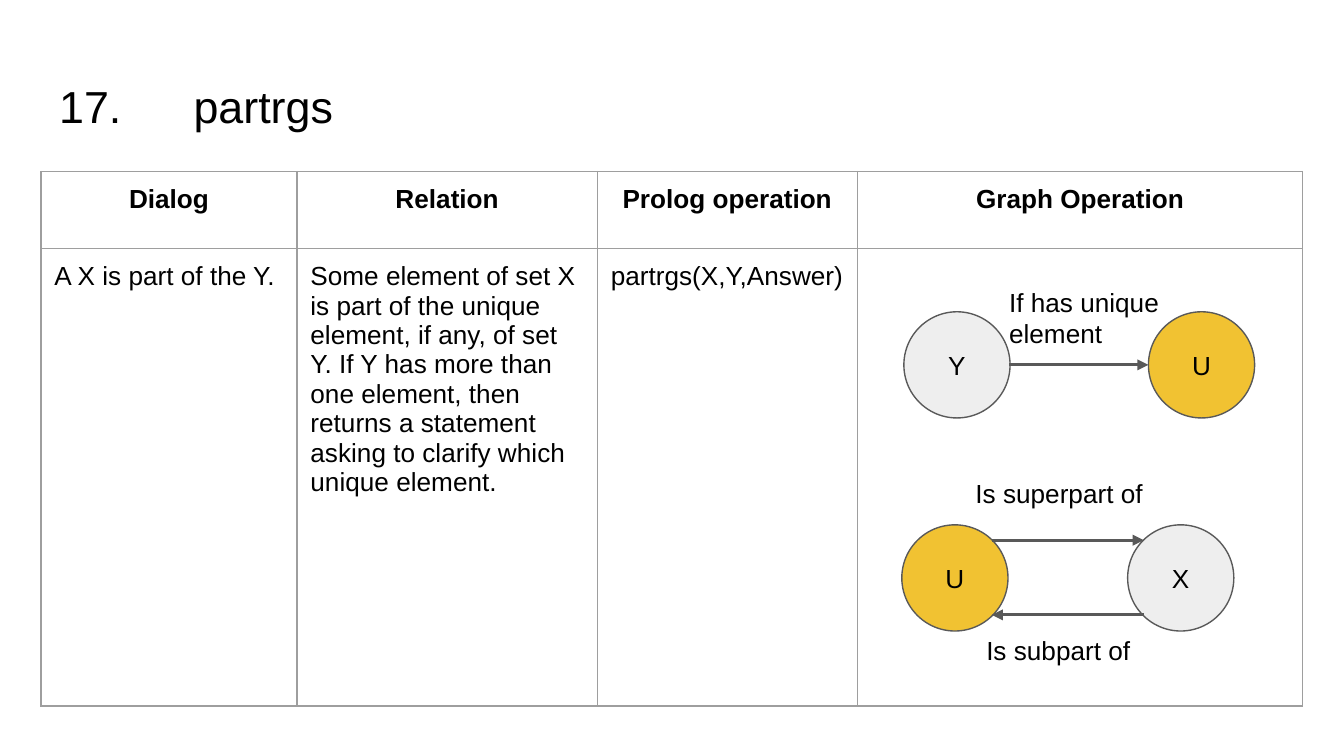
from lxml import etree
from pptx import Presentation
from pptx import util as u
from pptx.dml.color import RGBColor
from pptx.enum import shapes, text
from pptx.oxml import ns

PX = 4572
BLACK = RGBColor(0x00, 0x00, 0x00)
GOLD = RGBColor(0xF1, 0xC2, 0x32)
PALE = RGBColor(0xEE, 0xEE, 0xEE)
DARK = RGBColor(0x59, 0x59, 0x59)
BORDER = RGBColor(0x9E, 0x9E, 0x9E)
INSET = 20
NODE = 158
TAB = 200
COLUMNS = (381, 447, 387, 663)
ROWS = (115, 227, 227, 227)
HEADINGS = ("Dialog", "Relation", "Prolog operation", "Graph Operation")
BODY = (
    "A X is part of the Y.",
    "Some element of set X is part of the unique element, if any, of set Y. "
    "If Y has more than one element, then returns a statement asking to "
    "clarify which unique element.",
    "partrgs(X,Y,Answer)",
)


def px(*lengths):
    return [u.Emu(length * PX) for length in lengths]


def write(holder, frame, words, size=14, bold=False, align=text.PP_ALIGN.LEFT,
          anchor=text.MSO_ANCHOR.TOP):
    holder.margin_left, holder.margin_top, holder.margin_right, holder.margin_bottom = px(*[INSET] * 4)
    holder.vertical_anchor = anchor
    para = frame.paragraphs[0]
    para.alignment = align
    span = para.add_run()
    span.text = words
    span.font.name = "Arial"
    span.font.size = u.Pt(size)
    span.font.bold = bold
    span.font.color.rgb = BLACK


def write_box(box, words, **style):
    frame = box.text_frame
    frame.word_wrap = True
    frame.auto_size = text.MSO_AUTO_SIZE.NONE
    write(frame, frame, words, **style)


def add_title(page, words):
    title = page.shapes.title
    title.left, title.top, title.width, title.height = px(68, 97, 1864, 126)
    properties = title.text_frame.paragraphs[0]._p.get_or_add_pPr()
    tabs = etree.SubElement(properties, ns.qn("a:tabLst"))
    etree.SubElement(tabs, ns.qn("a:tab"), pos=str(TAB * PX), algn="l")
    write_box(title, words, size=24)


def border_cell(cell):
    properties = cell._tc.get_or_add_tcPr()
    for index, side in enumerate(("lnL", "lnR", "lnT", "lnB")):
        line = etree.Element(ns.qn(f"a:{side}"), w=str(u.Pt(0.75)))
        fill = etree.SubElement(line, ns.qn("a:solidFill"))
        etree.SubElement(fill, ns.qn("a:srgbClr"), val=str(BORDER))
        properties.insert(index, line)


def add_relation_table(page):
    table = page.shapes.add_table(len(ROWS), len(COLUMNS),
                                  *px(61, 255, sum(COLUMNS), sum(ROWS))).table
    for column, width in zip(table.columns, px(*COLUMNS)):
        column.width = width
    for row, height in zip(table.rows, px(*ROWS)):
        row.height = height
    for cell in table.iter_cells():
        cell.fill.background()
        border_cell(cell)
    for index, heading in enumerate(HEADINGS):
        cell = table.cell(0, index)
        write(cell, cell.text_frame, heading, bold=True, align=text.PP_ALIGN.CENTER)
        table.cell(1, index).merge(table.cell(len(ROWS) - 1, index))
    for index, words in enumerate(BODY):
        cell = table.cell(1, index)
        write(cell, cell.text_frame, words)


def add_node(page, name, left, top, color):
    node = page.shapes.add_shape(shapes.MSO_SHAPE.OVAL, *px(left, top, NODE, NODE))
    node.shadow.inherit = False
    node.fill.solid()
    node.fill.fore_color.rgb = color
    node.line.color.rgb = DARK
    node.line.width = u.Pt(0.75)
    write_box(node, name, align=text.PP_ALIGN.CENTER, anchor=text.MSO_ANCHOR.MIDDLE)


def add_arrow(page, start, end, level):
    arrow = page.shapes.add_connector(shapes.MSO_CONNECTOR.STRAIGHT,
                                      *px(start, level, end, level))
    arrow.line.color.rgb = DARK
    arrow.line.width = u.Pt(1.5)
    etree.SubElement(arrow.line._get_or_add_ln(), ns.qn("a:tailEnd"), type="triangle")
    etree.SubElement(arrow._element.spPr, ns.qn("a:effectLst"))


def add_label(page, words, left, top):
    write_box(page.shapes.add_textbox(*px(left, top, 326, 74)), words)


def main():
    deck = Presentation()
    deck.slide_width, deck.slide_height = px(2000, 1125)
    page = deck.slides.add_slide(deck.slide_layouts[5])
    add_relation_table(page)
    add_title(page, "17.\tpartrgs")
    for node in (("Y", 1345, 464, PALE), ("U", 1709, 464, GOLD),
                 ("U", 1342, 781, GOLD), ("X", 1678, 781, PALE)):
        add_node(page, *node)
    for arrow in ((1502, 1709, 543), (1476, 1702, 804), (1702, 1476, 915)):
        add_arrow(page, *arrow)
    for label in (("If has unique element", 1482, 406),
                  ("Is superpart of", 1432, 690), ("Is subpart of", 1448, 924)):
        add_label(page, *label)
    deck.save("out.pptx")


if __name__ == "__main__":
    main()
